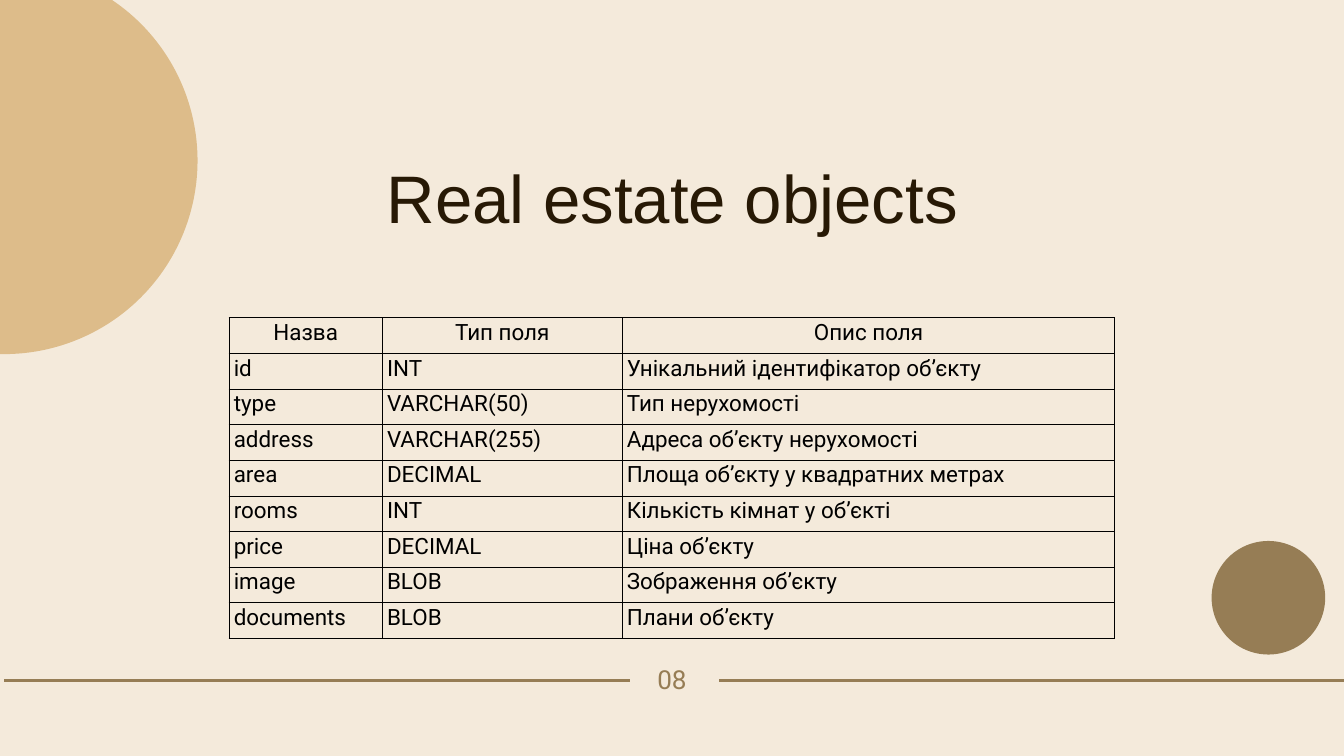
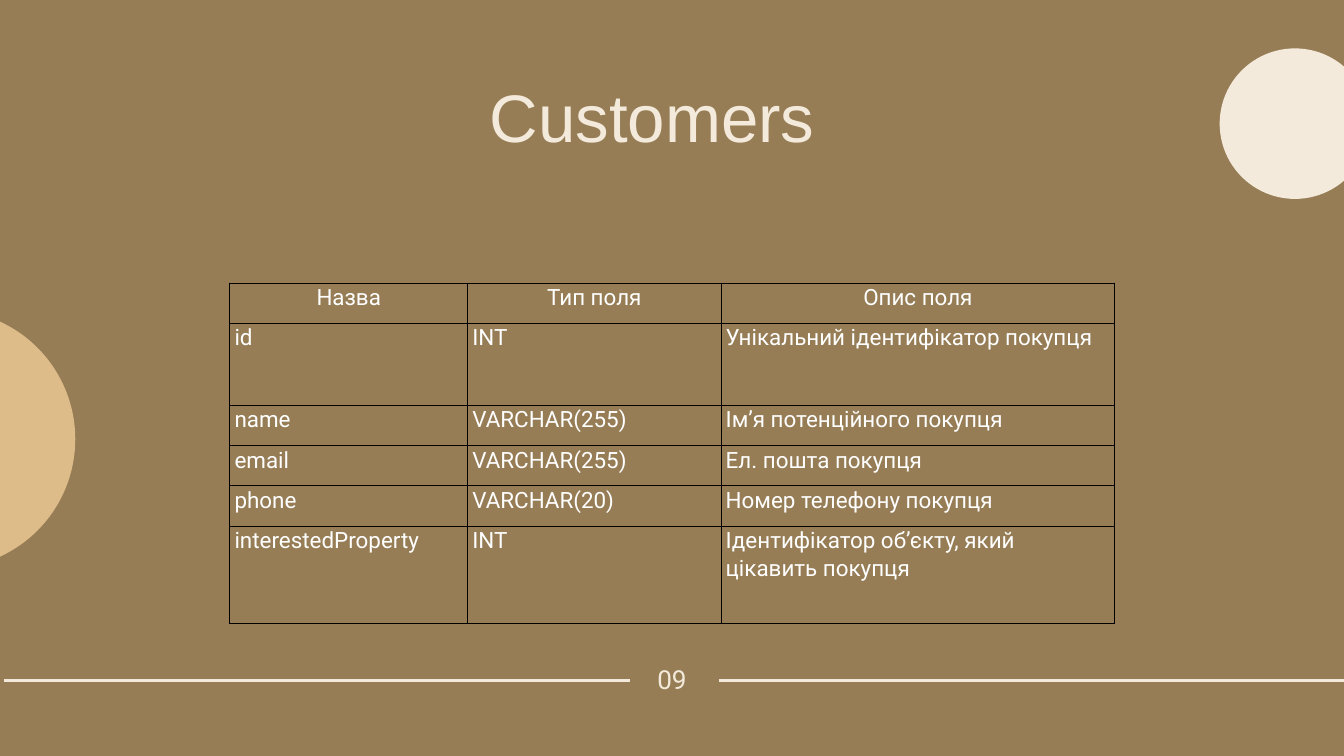
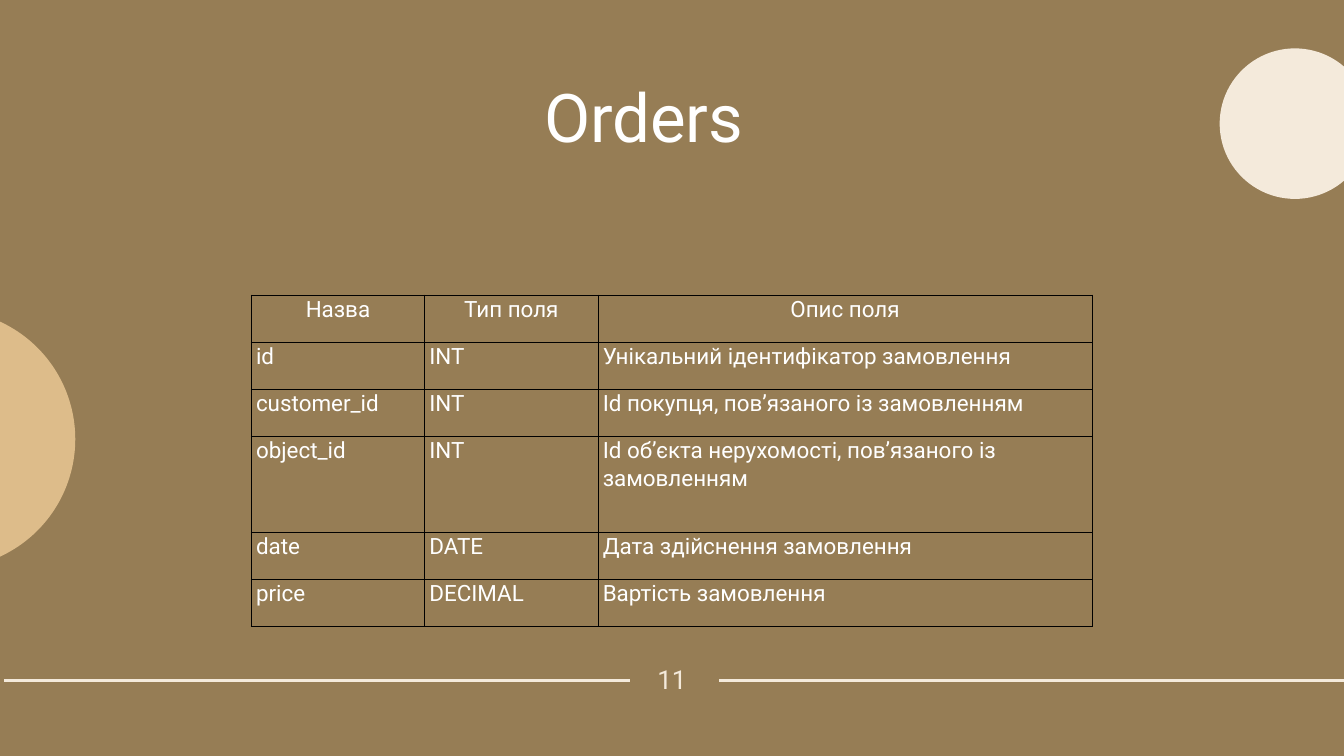
from dataclasses import dataclass

from lxml import etree
from pptx import Presentation
from pptx.dml.color import RGBColor
from pptx.enum.shapes import MSO_CONNECTOR, MSO_SHAPE
from pptx.enum.text import PP_ALIGN
from pptx.oxml.ns import qn
from pptx.util import Inches, Pt

OVAL, STRAIGHT = MSO_SHAPE.OVAL, MSO_CONNECTOR.STRAIGHT
LEFT, CENTER = PP_ALIGN.LEFT, PP_ALIGN.CENTER


@dataclass(frozen=True)
class Theme:
    cream: str = "F4EADB"
    brown: str = "967D55"
    sand: str = "DDBC8A"
    dark: str = "271905"
    black: str = "000000"
    white: str = "FFFFFF"
    heading: str = "Arial"
    body: str = "Roboto"
    title_size: float = 72
    page_size: float = 28
    cell_size: float = 24
    rule_width: float = 3
    border_width: float = 1


T = Theme()
COLS, ROWS = 20, 11.25
CELL = Inches(1)  # one square of the slide grid
TITLE_W, TITLE_H = 10.57, 1.21
PAGE_BOX = (6.38, 9.95, 7.24, 0.4)
RULE_Y = 0.9 * ROWS
RULES = [(10.7, COLS), (0.06, 9.37)]
CELL_INSET = 0.07
HEADER = ("Назва", "Тип поля", "Опис поля")

LIGHT = dict(
    bg=T.cream, accent=T.brown, cell_color=T.black, title_at=(4.72, 2.32),
    circles=[(18.03, 8.05, 1.69, T.brown), (-2.82, -0.49, 5.76, T.sand)],
)
DARK = dict(
    bg=T.brown, accent=T.cream, cell_color=T.white, title_at=(4.42, 1.12),
    circles=[(18.15, 0.72, 2.24, T.cream), (-2.73, 4.61, 3.85, T.sand)],
)

SLIDES = [
    dict(
        LIGHT, title="Real estate objects", title_font=T.heading, title_color=T.dark,
        page="08", table_at=(3.41, 4.73), widths=[2.28, 3.57, 7.33], heights=[0.53] * 9,
        fields=[
            ("id", "INT", "Унікальний ідентифікатор об’єкту"),
            ("type", "VARCHAR(50)", "Тип нерухомості"),
            ("address", "VARCHAR(255)", "Адреса об’єкту нерухомості"),
            ("area", "DECIMAL", "Площа об’єкту у квадратних метрах"),
            ("rooms", "INT", "Кількість кімнат у об’єкті"),
            ("price", "DECIMAL", "Ціна об’єкту"),
            ("image", "BLOB", "Зображення об’єкту"),
            ("documents", "BLOB", "Плани об’єкту"),
        ],
    ),
    dict(
        DARK, title="Customers", title_font=T.heading, title_color=T.cream,
        page="09", table_at=(3.42, 4.21), widths=[3.54, 3.77, 5.86],
        heights=[0.6, 1.22, 0.6, 0.6, 0.6, 1.45],
        fields=[
            ("id", "INT", "Унікальний ідентифікатор покупця"),
            ("name", "VARCHAR(255)", "Ім’я потенційного покупця"),
            ("email", "VARCHAR(255)", "Ел. пошта покупця"),
            ("phone", "VARCHAR(20)", "Номер телефону покупця"),
            ("interestedProperty", "INT", "Ідентифікатор об’єкту, який цікавить покупця"),
        ],
    ),
    dict(
        DARK, title="Orders ", title_font=T.body, title_color=T.white,
        page="11", table_at=(3.74, 4.39), widths=[2.58, 2.58, 7.35],
        heights=[0.7, 0.7, 0.7, 1.43, 0.7, 0.7],
        fields=[
            ("id", "INT", "Унікальний ідентифікатор замовлення"),
            ("customer_id", "INT", "Id покупця, пов’язаного із замовленням"),
            ("object_id", "INT", "Id об’єкта нерухомості, пов’язаного із замовленням"),
            ("date", "DATE", "Дата здійснення замовлення"),
            ("price", "DECIMAL", "Вартість замовлення"),
        ],
    ),
]


def grid(*squares):
    """Turn counts of grid squares into slide lengths."""
    return [round(n * CELL) for n in squares]


def write(tf, text, *, size, color, font=T.body, align=CENTER, spacing=1.0, after=0):
    tf.word_wrap = True
    p = tf.paragraphs[0]
    p.alignment, p.line_spacing, p.space_after = align, spacing, Pt(after)
    r = p.add_run()
    r.text = text
    r.font.name, r.font.size = font, Pt(size)
    r.font.color.rgb = RGBColor.from_string(color)


prs = Presentation()
prs.slide_width, prs.slide_height = grid(COLS, ROWS)

for d in SLIDES:
    s = prs.slides.add_slide(prs.slide_layouts[6])
    s.background.fill.solid()
    s.background.fill.fore_color.rgb = RGBColor.from_string(d["bg"])

    # Title and page number
    for box, text, fmt in [
        ((*d["title_at"], TITLE_W, TITLE_H), d["title"],
         dict(size=T.title_size, color=d["title_color"], font=d["title_font"],
              spacing=Pt(1.2 * T.title_size))),
        (PAGE_BOX, d["page"],
         dict(size=T.page_size, color=d["accent"], spacing=Pt(T.page_size))),
    ]:
        tf = s.shapes.add_textbox(*grid(*box)).text_frame
        tf.margin_left = tf.margin_right = tf.margin_top = tf.margin_bottom = 0
        write(tf, text, **fmt)

    # Footer rules on both sides of the page number
    for x1, x2 in RULES:
        rule = s.shapes.add_connector(STRAIGHT, *grid(x1, RULE_Y, x2, RULE_Y))
        rule.line.color.rgb = RGBColor.from_string(d["accent"])
        rule.line.width = Pt(T.rule_width)
        etree.SubElement(rule._element.spPr, qn("a:effectLst"))

    for x, y, size, color in d["circles"]:
        sp = s.shapes.add_shape(OVAL, *grid(x, y, size, size))
        sp.shadow.inherit = False
        sp.fill.solid()
        sp.fill.fore_color.rgb = RGBColor.from_string(color)
        sp.line.fill.background()

    # Table of database fields
    rows = [HEADER, *d["fields"]]
    frame = grid(*d["table_at"], sum(d["widths"]), sum(d["heights"]))
    table = s.shapes.add_table(len(rows), len(HEADER), *frame).table
    table.first_row = table.horz_banding = False
    for column, width in zip(table.columns, grid(*d["widths"])):
        column.width = width
    for row, height in zip(table.rows, grid(*d["heights"])):
        row.height = height
    for i, values in enumerate(rows):
        for j, value in enumerate(values):
            cell = table.cell(i, j)
            cell.margin_left, cell.margin_right = grid(CELL_INSET, CELL_INSET)
            cell.margin_top = cell.margin_bottom = 0
            write(cell.text_frame, value, size=T.cell_size, color=d["cell_color"],
                  align=LEFT if i else CENTER, spacing=1.07, after=8)
            cell.fill.background()
            tcPr = cell._tc.get_or_add_tcPr()
            for k, side in enumerate(("lnL", "lnR", "lnT", "lnB")):
                ln = etree.Element(qn(f"a:{side}"), w=str(Pt(T.border_width)))
                fill = etree.SubElement(ln, qn("a:solidFill"))
                etree.SubElement(fill, qn("a:srgbClr"), val=T.black)
                tcPr.insert(k, ln)

prs.save("out.pptx")
